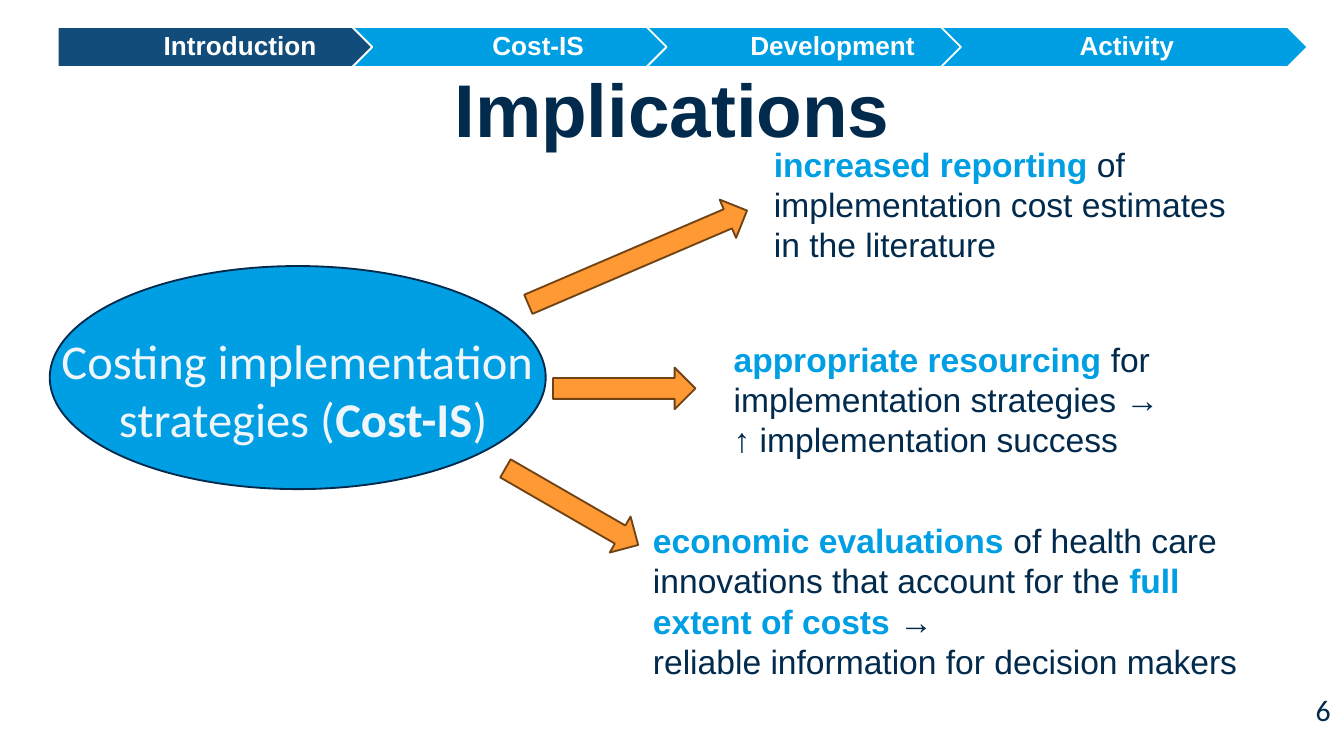
from dataclasses import dataclass

import pptx
import pptx.dml.color
import pptx.enum.shapes
import pptx.enum.text
import pptx.util

SHAPE = pptx.enum.shapes.MSO_SHAPE
ALIGN = pptx.enum.text.PP_ALIGN
ANCHOR = pptx.enum.text.MSO_ANCHOR
FIT = pptx.enum.text.MSO_AUTO_SIZE


@dataclass(frozen=True)
class Theme:
    navy: str = "012A4C"
    current: str = "124C7B"
    cyan: str = "009FE3"
    orange: str = "FF9933"
    brown: str = "704316"
    pale: str = "EFF6FB"
    white: str = "FFFFFF"
    heading: str = "Arial"
    plain: str = "Calibri"
    title_size: int = 40
    topic_size: int = 26
    note_size: int = 18
    number_size: int = 16
    step_size: int = 14


def rgb(value):
    return pptx.dml.color.RGBColor.from_string(value)


def write(paragraph, text, *, size, font, color, bold=False):
    for index, line in enumerate(text.split("\n")):
        if index:
            paragraph.add_line_break()
        if line:
            run = paragraph.add_run()
            run.text = line
            run.font.size = pptx.util.Pt(size)
            run.font.name = font
            run.font.bold = bold
            run.font.color.rgb = rgb(color)


class Deck:
    COLUMNS = 100
    ROWS = 56.25

    def __init__(self, theme):
        self.theme = theme
        self.presentation = pptx.Presentation()
        self.presentation.slide_width = pptx.util.Inches(10)
        self.presentation.slide_height = pptx.util.Inches(5.625)
        self.slide = self.presentation.slides.add_slide(self.presentation.slide_layouts[5])

    def across(self, columns):
        return round(self.presentation.slide_width * columns / self.COLUMNS)

    def down(self, rows):
        return round(self.presentation.slide_height * rows / self.ROWS)

    def area(self, left, top, width, height):
        return self.across(left), self.down(top), self.across(width), self.down(height)

    def title(self, text, *area):
        heading = self.slide.shapes.title
        heading.left, heading.top, heading.width, heading.height = self.area(*area)
        frame = heading.text_frame
        frame.auto_size = FIT.NONE
        frame.vertical_anchor = ANCHOR.MIDDLE
        frame.paragraphs[0].alignment = ALIGN.CENTER
        frame.paragraphs[0].line_spacing = 0.8
        write(frame.paragraphs[0], text, size=self.theme.title_size,
              font=self.theme.heading, color=self.theme.navy, bold=True)

    def shape(self, kind, area, fill, line, rotation=0, parent=None):
        figure = (parent or self.slide).shapes.add_shape(kind, *self.area(*area))
        figure.shadow.inherit = False
        figure.fill.solid()
        figure.fill.fore_color.rgb = rgb(fill)
        figure.line.color.rgb = rgb(line)
        figure.line.width = pptx.util.Pt(1)
        figure.rotation = rotation
        return figure

    def text(self, parts, area, size, font, color, strong_color,
             align=ALIGN.LEFT, anchor=ANCHOR.TOP, fit=FIT.SHAPE_TO_FIT_TEXT):
        frame = self.slide.shapes.add_textbox(*self.area(*area)).text_frame
        frame.word_wrap = True
        frame.auto_size = fit
        frame.vertical_anchor = anchor
        frame.paragraphs[0].alignment = align
        for part, strong in parts:
            write(frame.paragraphs[0], part, size=size, font=font,
                  color=strong_color if strong else color, bold=strong)

    def note(self, parts, area):
        self.text(parts, area, self.theme.note_size, self.theme.heading,
                  self.theme.navy, self.theme.cyan)

    def arrow(self, area, rotation):
        self.shape(SHAPE.DOWN_ARROW, area, self.theme.orange, self.theme.brown, rotation)

    def progress(self, steps, left, top, width, height, pitch):
        bar = self.slide.shapes.add_group_shape()
        for index, label in enumerate(steps):
            first = index == 0
            step = self.shape(SHAPE.PENTAGON if first else SHAPE.CHEVRON,
                              (left + index * pitch, top, width, height),
                              self.theme.current if first else self.theme.cyan,
                              self.theme.white, parent=bar)
            frame = step.text_frame
            frame.word_wrap = True
            frame.vertical_anchor = ANCHOR.MIDDLE
            frame.margin_left = self.across(0.8 if first else 0.6)
            frame.margin_right = self.across(0.2)
            frame.margin_top = frame.margin_bottom = self.down(0.4)
            frame.paragraphs[0].alignment = ALIGN.CENTER
            frame.paragraphs[0].line_spacing = 0.9
            write(frame.paragraphs[0], label, size=self.theme.step_size,
                  font=self.theme.heading, color=self.theme.white, bold=True)


def main():
    theme = Theme()
    deck = Deck(theme)
    deck.title("Implications", 5, 5.3, 90, 6.7)
    deck.text([("6", False)], (77.5, 51.3, 22.5, 3), theme.number_size, theme.plain,
              theme.navy, theme.navy, ALIGN.RIGHT, ANCHOR.MIDDLE, FIT.NONE)

    deck.shape(SHAPE.OVAL, (3.7, 19.8, 36.9, 16.6), theme.cyan, theme.navy)
    deck.text([("Costing implementation \nstrategies (", False), ("Cost-IS", True), (")", False)],
              (3, 24.1, 39.1, 9.8), theme.topic_size, theme.plain,
              theme.pale, theme.pale, ALIGN.CENTER)

    implications = [
        ((45.9, 10.3, 3.1, 17.7), 246.8, (56.6, 10.2, 36.2, 10.1),
         [("increased reporting ", True),
          ("of implementation cost estimates in the literature", False)]),
        ((44.9, 23.6, 3.1, 10.6), 270, (53.6, 24.7, 39.1, 10.1),
         [("appropriate resourcing ", True),
          ("for implementation strategies → \n↑ implementation success", False)]),
        ((41, 32, 3.1, 11.4), 300, (47.6, 38.2, 47.5, 13.1),
         [("economic evaluations ", True),
          ("of health care innovations that account for the ", False),
          ("full extent of costs ", True),
          ("→ \nreliable information for decision makers", False)]),
    ]
    for arrow_area, rotation, note_area, parts in implications:
        deck.arrow(arrow_area, rotation)
        deck.note(parts, note_area)

    deck.progress(["Introduction", "Cost-IS", "Development", "Activity"],
                  left=4.3, top=2, width=27.3, height=3, pitch=21.9)
    deck.presentation.save("out.pptx")


if __name__ == "__main__":
    main()
